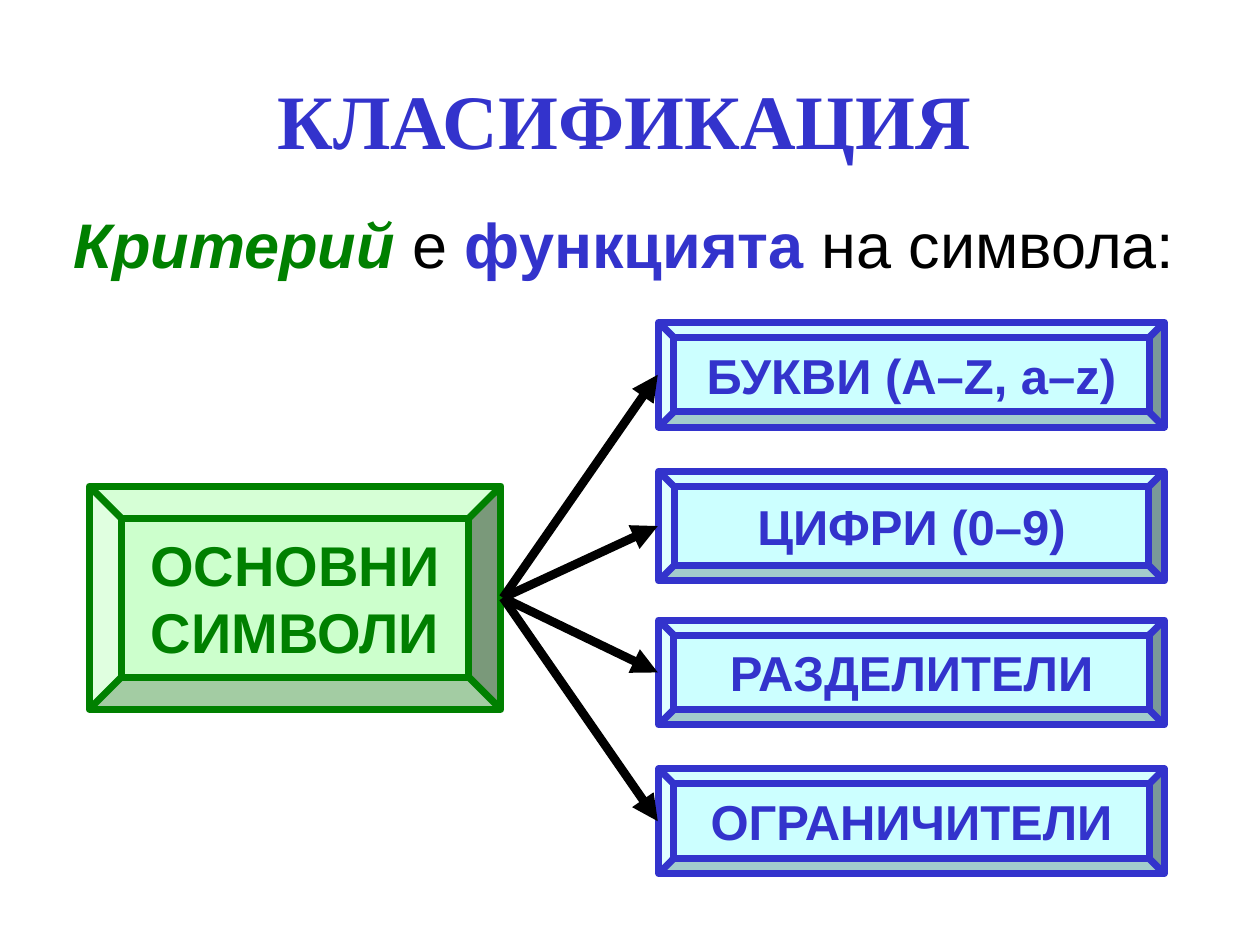
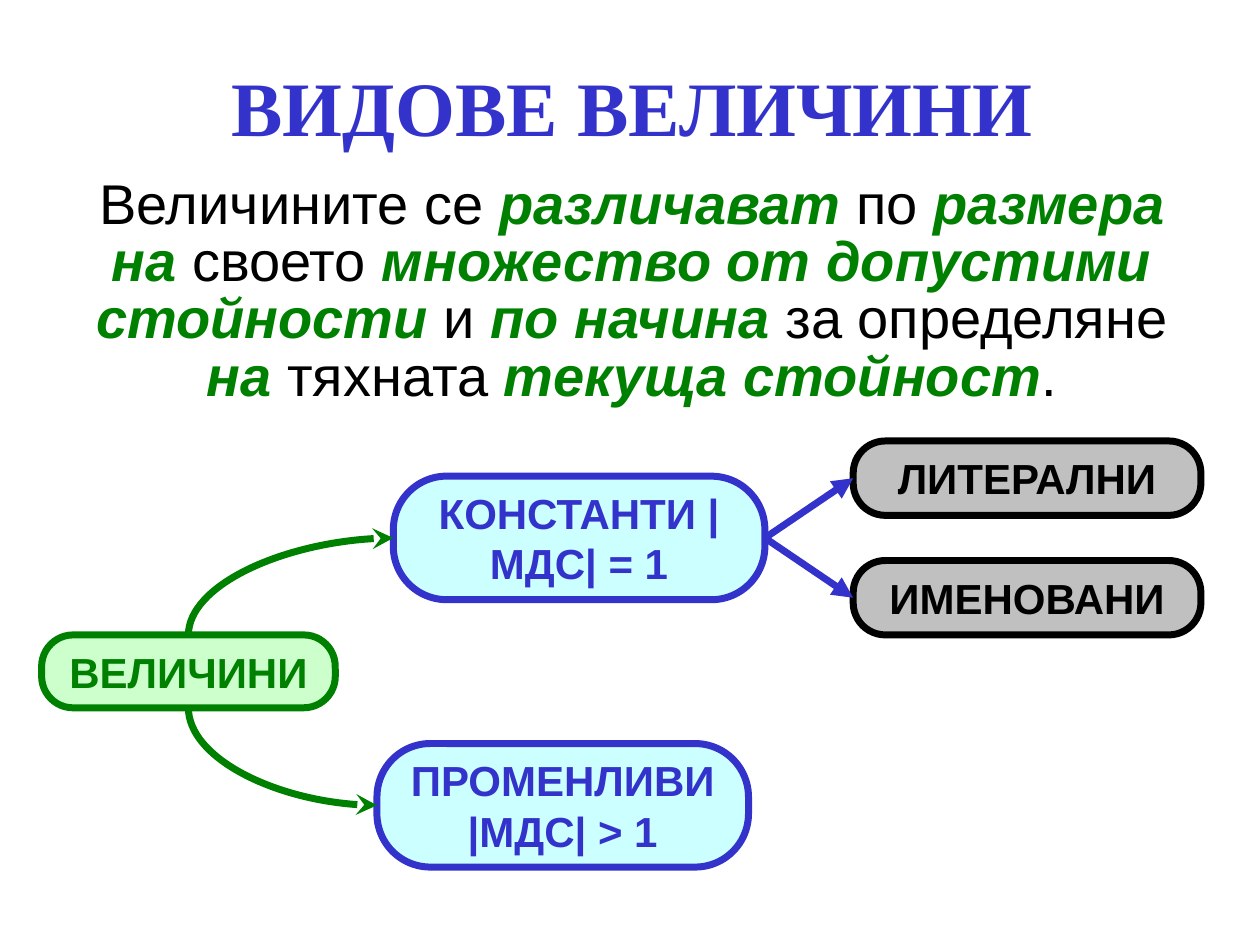
from lxml import etree
from pptx import Presentation
from pptx.dml.color import RGBColor
from pptx.enum.shapes import MSO_CONNECTOR, MSO_SHAPE
from pptx.enum.text import MSO_ANCHOR, MSO_AUTO_SIZE, PP_ALIGN
from pptx.oxml.ns import qn
from pptx.util import Cm, Pt

BEVEL, ROUNDED = MSO_SHAPE.BEVEL, MSO_SHAPE.ROUNDED_RECTANGLE
STRAIGHT, CURVE = MSO_CONNECTOR.STRAIGHT, MSO_CONNECTOR.CURVE
CENTER, MIDDLE, TOP = PP_ALIGN.CENTER, MSO_ANCHOR.MIDDLE, MSO_ANCHOR.TOP
NO_FIT = MSO_AUTO_SIZE.NONE
SITE_TOP, SITE_LEFT, SITE_RIGHT = 0, 1, 3
SITE_BOTTOM = 2

BLUE, GREEN, BLACK = "3333CC", "008000", "000000"
GREEN_BOX = {"fill": "CCFFCC", "ink": GREEN}
BLUE_BOX = {"fill": "CCFFFF", "ink": BLUE}
GRAY_BOX = {"fill": "C0C0C0", "ink": BLACK}
ADJUST = {BEVEL: 0.144, ROUNDED: 0.432}

PLAIN = {"color": BLACK, "bold": False, "italic": False}
KEY = {"color": GREEN, "bold": True, "italic": True}
STRONG = {"color": BLUE, "bold": True, "italic": False}


def rgb(value):
    """Turn a hex string into a colour."""
    return RGBColor.from_string(value)


def set_attrs(target, **values):
    """Set each given attribute on the target."""
    for name, value in values.items():
        setattr(target, name, value)


def place(sp, box):
    """Move a shape to a box of left, top, width and height in centimetres."""
    set_attrs(sp, **dict(zip(("left", "top", "width", "height"), map(Cm, box))))


def add_run(p, text, size, color, font="Arial", bold=True, italic=False):
    """Add one formatted run."""
    r = p.add_run()
    r.text = text
    set_attrs(r.font, name=font, size=Pt(size), bold=bold, italic=italic)
    r.font.color.rgb = rgb(color)


def add_title(s, text, box):
    """Fill the title placeholder."""
    sp = s.shapes.title
    place(sp, box)
    set_attrs(sp.text_frame, vertical_anchor=MIDDLE, auto_size=NO_FIT, word_wrap=True)
    p = sp.text_frame.paragraphs[0]
    p.alignment = CENTER
    add_run(p, text, 44, BLUE, font="Times New Roman")


def add_body(s, parts, size, box):
    """Fill the body placeholder with one centred paragraph of mixed runs."""
    sp = s.placeholders[1]
    place(sp, box)
    set_attrs(sp.text_frame, vertical_anchor=TOP, auto_size=NO_FIT, word_wrap=True)
    p = sp.text_frame.paragraphs[0]
    set_attrs(p, alignment=CENTER, line_spacing=0.85, space_before=Pt(0))
    pPr = p._p.get_or_add_pPr()
    set_attrs(pPr, marL=0) if hasattr(pPr, "marL") else pPr.set("marL", "0")
    pPr.set("indent", "0")
    etree.SubElement(pPr, qn("a:buNone"))
    for text, style in parts:
        add_run(p, text, size, **style)


def add_node(s, kind, text, box, look, size, wrap=False):
    """Draw one labelled node of the diagram."""
    sp = s.shapes.add_shape(kind, *map(Cm, box))
    sp.adjustments[0] = ADJUST[kind]
    sp.shadow.inherit = False
    sp.fill.solid()
    sp.fill.fore_color.rgb = rgb(look["fill"])
    sp.line.color.rgb = rgb(look["ink"])
    sp.line.width = Pt(4)
    tf = sp.text_frame
    set_attrs(tf, vertical_anchor=MIDDLE, word_wrap=wrap)
    tf.paragraphs[0].alignment = CENTER
    add_run(tf.paragraphs[0], text, size, look["ink"])
    return sp


def style_connector(cn, color, width, end="tailEnd", head="triangle"):
    """Colour a connector, drop its shadow and add an arrowhead."""
    cn.line.color.rgb = rgb(color)
    cn.line.width = Pt(width)
    etree.SubElement(cn.line._get_or_add_ln(), qn(f"a:{end}"), type=head)
    etree.SubElement(cn._element.spPr, qn("a:effectLst"))


def side_arrow(s, source, target):
    """Draw a black arrow between the facing sides of two bevelled nodes."""
    cn = s.shapes.add_connector(
        STRAIGHT,
        source.left + source.width + Cm(0.04), source.top + source.height // 2,
        target.left - Cm(0.02), target.top + target.height // 2)
    style_connector(cn, BLACK, 5)


def joined_arrow(s, source, target):
    """Join two rounded nodes with a straight blue arrow."""
    cn = s.shapes.add_connector(STRAIGHT, 0, 0, 0, 0)
    cn.begin_connect(source, SITE_RIGHT)
    cn.end_connect(target, SITE_LEFT)
    style_connector(cn, BLUE, 4)


def curved_arrow(s, source, site, target):
    """Join two rounded nodes with a quarter curve pointing at the target."""
    cn = s.shapes.add_connector(CURVE, 0, 0, 0, 0)
    cn.begin_connect(target, SITE_LEFT)
    cn.end_connect(source, site)
    cn._element.spPr.find(qn("a:prstGeom")).set("prst", "curvedConnector2")
    style_connector(cn, GREEN, 4, "headEnd", "stealth")


def symbol_diagram(s, left, top):
    """Draw the basic symbols and their four classes."""
    root = add_node(s, BEVEL, "ОСНОВНИ СИМВОЛИ", (left, top + 3.3, 8.3, 4.5),
                    GREEN_BOX, 32, wrap=True)
    classes = (("БУКВИ (A–Z, a–z)", 2.11), ("ЦИФРИ (0–9)", 2.21),
               ("РАЗДЕЛИТЕЛИ", 2.11), ("ОГРАНИЧИТЕЛИ", 2.11))
    nodes = [add_node(s, BEVEL, text, (left + 11.48, top + 3 * i, 10.19, height),
                      BLUE_BOX, 28)
             for i, (text, height) in enumerate(classes)]
    for node in nodes:
        side_arrow(s, root, node)


def quantity_diagram(s, left, top):
    """Draw the tree of quantities."""
    root = add_node(s, ROUNDED, "ВЕЛИЧИНИ", (left, top + 3.91, 5.92, 1.47),
                    GREEN_BOX, 24)
    constants, variables = [
        add_node(s, ROUNDED, text, (left + x, top + y, 7.49, 2.49), BLUE_BOX, 24, wrap=True)
        for text, x, y in (("КОНСТАНТИ |МДС| = 1", 7.09, 0.71),
                           ("ПРОМЕНЛИВИ |МДС| > 1", 6.76, 6.1))]
    leaves = [add_node(s, ROUNDED, text, (left + 16.36, top + 2.41 * i, 7.01, 1.5),
                       GRAY_BOX, 24)
              for i, text in enumerate(("ЛИТЕРАЛНИ", "ИМЕНОВАНИ"))]
    curved_arrow(s, root, SITE_TOP, constants)
    curved_arrow(s, root, SITE_BOTTOM, variables)
    for leaf in leaves:
        joined_arrow(s, constants, leaf)


def classification_slide(prs):
    """Build the slide on the classes of symbols."""
    s = prs.slides.add_slide(prs.slide_layouts[1])
    add_title(s, "КЛАСИФИКАЦИЯ", (1.75, 1.19, 21.69, 2.39))
    add_body(s, (("Критерий", KEY), (" е ", PLAIN), ("функцията", STRONG),
                 (" на символа:", PLAIN)), 36, (1.19, 4.24, 22.78, 1.6))
    symbol_diagram(s, 1.8, 6.5)


def quantities_slide(prs):
    """Build the slide on the kinds of quantities."""
    s = prs.slides.add_slide(prs.slide_layouts[1])
    add_title(s, "ВИДОВЕ ВЕЛИЧИНИ", (1.91, 1.07, 21.69, 2.11))
    add_body(s, (("Величините се ", PLAIN), ("различават", KEY), (" по ", PLAIN),
                 ("размера на ", KEY), ("своето", PLAIN),
                 (" множество от допустими стойности ", KEY), ("и ", PLAIN),
                 ("по начина ", KEY), ("за определяне", PLAIN), (" на ", KEY),
                 ("тяхната", PLAIN), (" текуща стойност", KEY), (".", PLAIN)),
             32, (1.35, 3.48, 22.78, 4.98))
    quantity_diagram(s, 0.84, 8.89)


def main():
    """Build and save the presentation."""
    prs = Presentation()
    set_attrs(prs, slide_width=Cm(25.4), slide_height=Cm(19.05))
    classification_slide(prs)
    quantities_slide(prs)
    prs.save("out.pptx")


if __name__ == "__main__":
    main()
